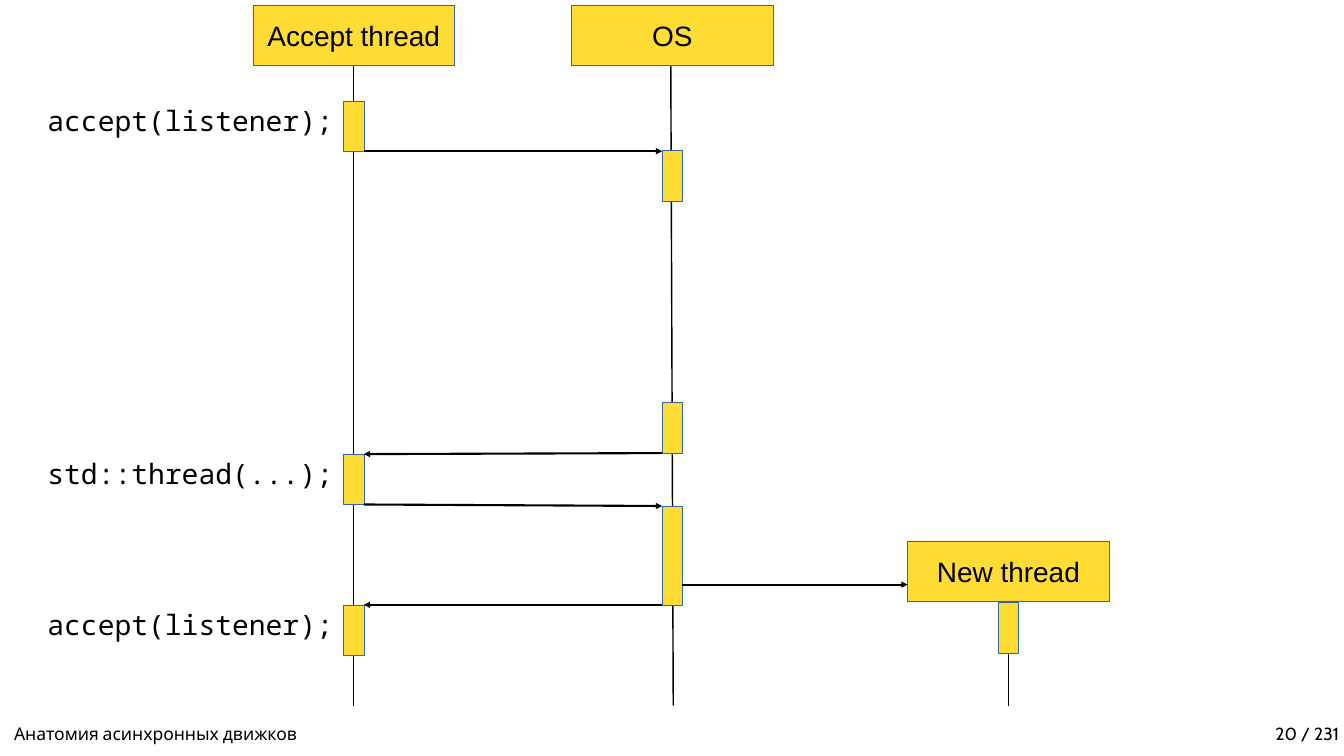
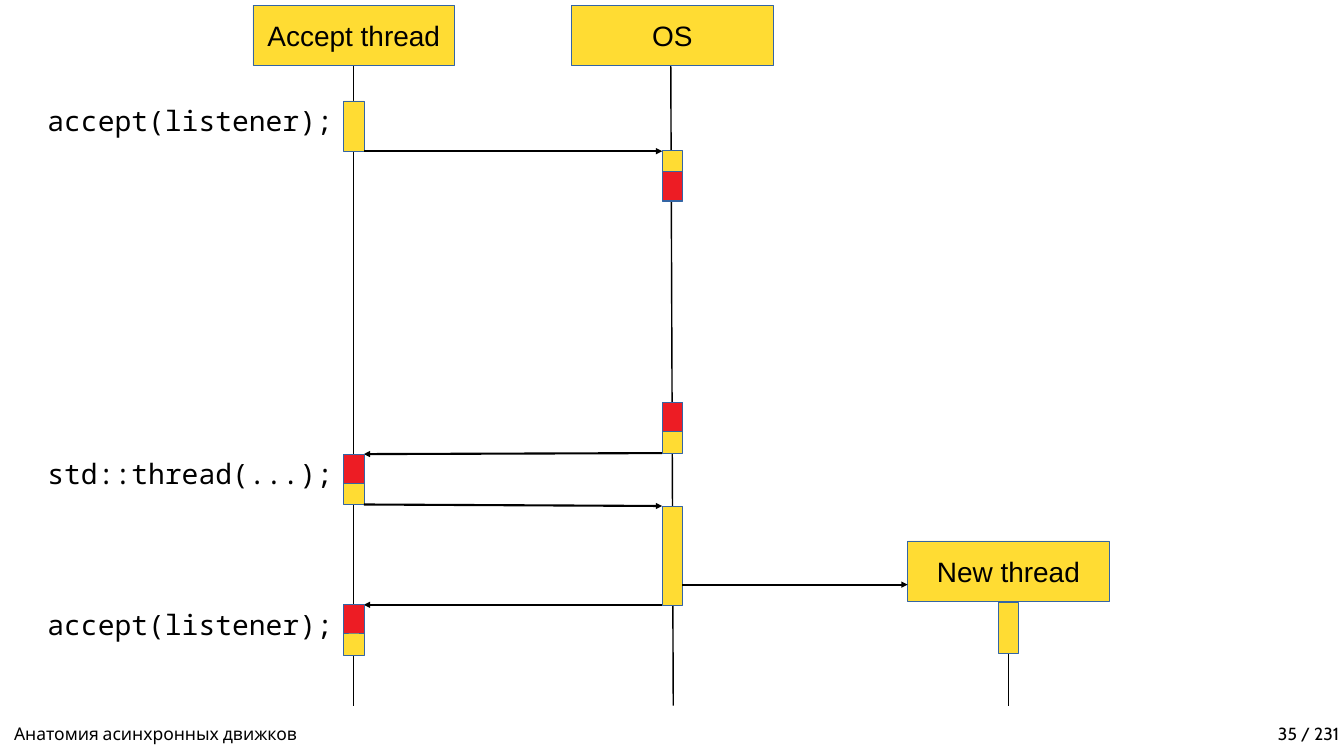
from dataclasses import dataclass

import pptx
import pptx.dml.color
import pptx.enum.shapes
import pptx.enum.text
import pptx.oxml
import pptx.oxml.ns
import pptx.util
from pptx.util import Inches

COLORS = {"yellow": "FFDC33", "red": "ED1C24", "border": "3465A4", "ink": "000000"}
ALIGN = pptx.enum.text.PP_ALIGN
ANCHOR = pptx.enum.text.MSO_ANCHOR
MARGINS = {
    "margin_left": Inches(0.1),
    "margin_right": Inches(0.1),
    "margin_top": Inches(0.05),
    "margin_bottom": Inches(0.05),
}
HEAD_W, HEAD_H = 4, 1.2
BAR_W = 0.4
WAIT_H = 0.57
ACCEPT_X, OS_X, NEW_X = 6.82, 13.14, 19.81
FOOTER = "Анатомия асинхронных движков"
TOTAL = 231


@dataclass
class TextStyle:
    font: str
    size: int
    align: ALIGN
    anchor: ANCHOR
    wrap: bool = True
    spacing: float = 1.0


@dataclass
class Head:
    text: str
    left: float
    top: float


@dataclass
class Bar:
    left: float
    top: float
    height: float = 1
    color: str = "yellow"


@dataclass
class Line:
    x1: float
    y1: float
    x2: float
    y2: float
    width: float = 0
    arrow: bool = False


@dataclass
class Message(Line):
    width: float = 3
    arrow: bool = True


@dataclass
class Label:
    text: str
    top: float


HEAD_STYLE = TextStyle("Arial", 40, ALIGN.CENTER, ANCHOR.MIDDLE, wrap=False)
CODE_STYLE = TextStyle("Noto Sans Mono", 40, ALIGN.RIGHT, ANCHOR.TOP)
FOOTER_STYLE = TextStyle("Cabin", 25, ALIGN.LEFT, ANCHOR.BOTTOM, spacing=0.9)
PAGE_STYLE = TextStyle("Cabin", 25, ALIGN.RIGHT, ANCHOR.BOTTOM, spacing=0.9)

LIFELINES = [
    Line(7.02, 0.3, 7.02, 14),
    Line(13.31, 1, 13.36, 14),
    Line(20.01, 11.1, 20.01, 14),
]
HEADS = [
    Head("Accept thread", 5.02, 0.1),
    Head("OS", 11.34, 0.1),
    Head("New thread", 18.01, 10.73),
]
BARS = [
    Bar(ACCEPT_X, 2),
    Bar(ACCEPT_X, 9.01),
    Bar(ACCEPT_X, 12),
    Bar(OS_X, 2.99),
    Bar(OS_X, 7.99),
    Bar(OS_X, 10.04, 1.96),
    Bar(NEW_X, 11.96),
]
MESSAGES = [
    Message(ACCEPT_X + BAR_W, 3, OS_X, 3),
    Message(OS_X, 8.99, ACCEPT_X + BAR_W, 9.01),
    Message(ACCEPT_X + BAR_W, 10.01, OS_X, 10.04),
    Message(OS_X, 12, ACCEPT_X + BAR_W, 12),
    Message(OS_X + BAR_W, 11.6, 18.01, 11.6),
]
LABELS = [
    Label("accept(listener);", 2),
    Label("std::thread(...);", 9.01),
    Label("accept(listener);", 12),
]
WAITS = [
    Bar(left, top, WAIT_H, "red")
    for left, top in [(ACCEPT_X, 9.01), (OS_X, 3.4), (OS_X, 7.99), (ACCEPT_X, 11.99)]
]
PAGES = {20: [], 35: WAITS}


def rgb(name: str) -> pptx.dml.color.RGBColor:
    return pptx.dml.color.RGBColor.from_string(COLORS[name])


def set_all(target, values: dict) -> None:
    for name, value in values.items():
        setattr(target, name, value)


def write(sp, text: str, style: TextStyle) -> None:
    tf = sp.text_frame
    set_all(tf, {**MARGINS, "word_wrap": style.wrap, "vertical_anchor": style.anchor})
    p = tf.paragraphs[0]
    set_all(p, {"alignment": style.align, "line_spacing": style.spacing})
    r = p.add_run()
    r.text = text
    set_all(r.font, {"name": style.font, "size": pptx.util.Pt(style.size)})
    r.font.color.rgb = rgb("ink")


def add_text(s, text: str, box: tuple, style: TextStyle) -> None:
    write(s.shapes.add_textbox(*map(Inches, box)), text, style)


def add_rect(s, box: tuple, color: str):
    sp = s.shapes.add_shape(
        pptx.enum.shapes.MSO_SHAPE.RECTANGLE, *map(Inches, box)
    )
    sp.shadow.inherit = False
    sp.fill.solid()
    sp.fill.fore_color.rgb = rgb(color)
    sp.line.color.rgb = rgb("border")
    sp.line.width = pptx.util.Pt(0)
    return sp


def add_head(s, head: Head) -> None:
    sp = add_rect(s, (head.left, head.top, HEAD_W, HEAD_H), "yellow")
    write(sp, head.text, HEAD_STYLE)


def add_bar(s, bar: Bar) -> None:
    add_rect(s, (bar.left, bar.top, BAR_W, bar.height), bar.color)


def add_line(s, line: Line) -> None:
    cxn = s.shapes.add_connector(
        pptx.enum.shapes.MSO_CONNECTOR.STRAIGHT,
        *map(Inches, (line.x1, line.y1, line.x2, line.y2)),
    )
    cxn.line.color.rgb = rgb("ink")
    cxn.line.width = pptx.util.Pt(line.width)
    sp_pr = cxn._element.spPr
    if line.arrow:
        tail = pptx.oxml.parse_xml(
            f'<a:tailEnd {pptx.oxml.ns.nsdecls("a")} type="triangle"/>'
        )
        sp_pr.find(pptx.oxml.ns.qn("a:ln")).append(tail)
    sp_pr.append(pptx.oxml.parse_xml(f'<a:effectLst {pptx.oxml.ns.nsdecls("a")}/>'))


def add_sequence_slide(prs, page: int, waits: list[Bar]) -> None:
    s = prs.slides.add_slide(prs.slide_layouts[6])
    add_text(s, FOOTER, (0.18, 14.25, 11.35, 0.56), FOOTER_STYLE)
    add_text(s, f"{page} / {TOTAL}", (15.32, 14.25, 11.35, 0.56), PAGE_STYLE)
    for line in LIFELINES:
        add_line(s, line)
    for head in HEADS:
        add_head(s, head)
    for bar in BARS:
        add_bar(s, bar)
    for message in MESSAGES:
        add_line(s, message)
    for label in LABELS:
        add_text(s, label.text, (0.5, label.top, 6.2, 1), CODE_STYLE)
    for wait in waits:
        add_bar(s, wait)


def main() -> None:
    prs = pptx.Presentation()
    set_all(prs, {"slide_width": Inches(26.67), "slide_height": Inches(15)})
    for page, waits in PAGES.items():
        add_sequence_slide(prs, page, waits)
    prs.save("out.pptx")


if __name__ == "__main__":
    main()
